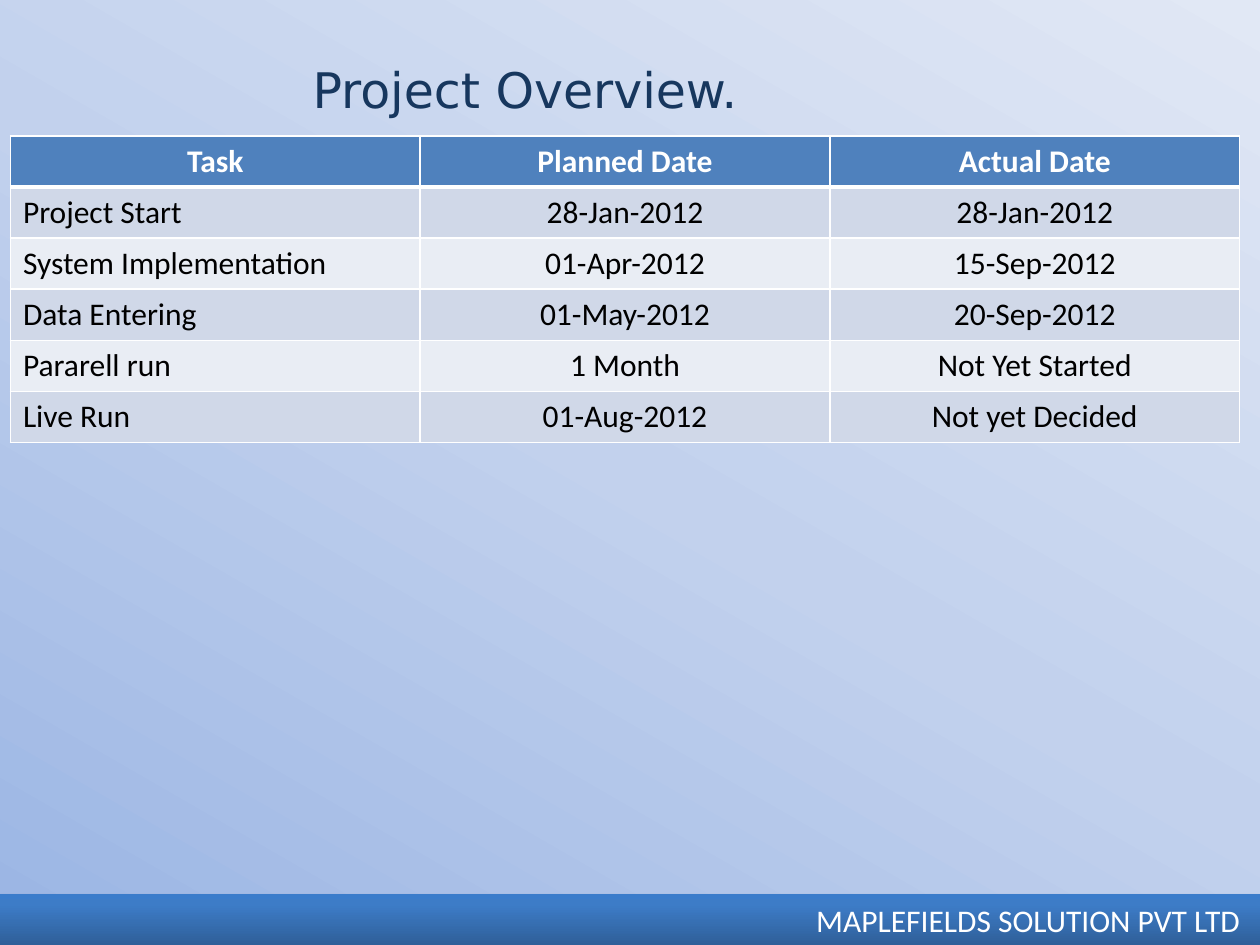
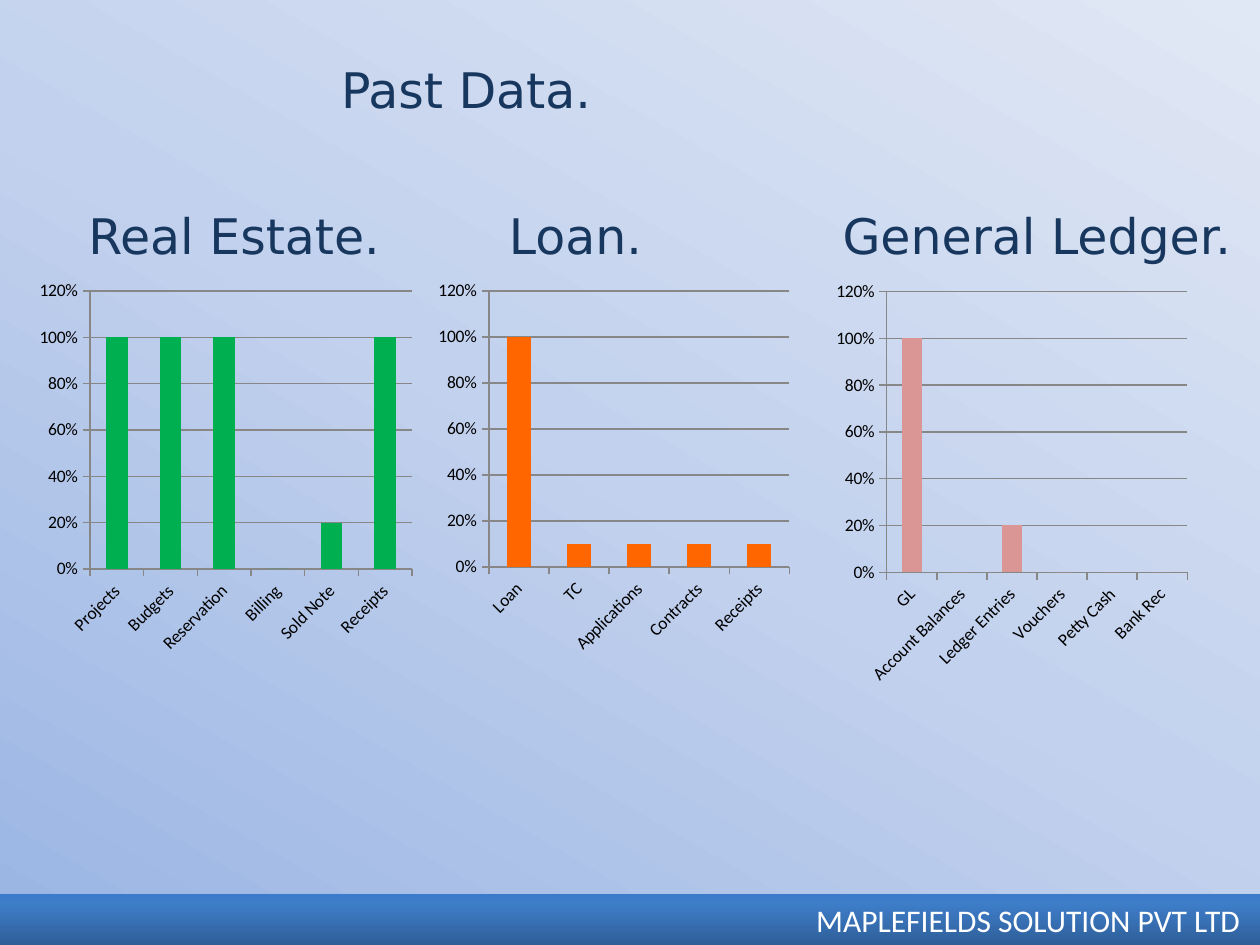
import pptx
import pptx.chart.data
import pptx.dml.color
import pptx.enum.chart
import pptx.enum.shapes
import pptx.enum.text
import pptx.oxml
import pptx.oxml.ns
import pptx.util
from dataclasses import dataclass
from lxml import etree

Cm = pptx.util.Cm
Pt = pptx.util.Pt
qn = pptx.oxml.ns.qn
ALIGN = pptx.enum.text.PP_ALIGN
MIDDLE = pptx.enum.text.MSO_ANCHOR.MIDDLE

# Content; lengths in centimetres
COMPANY = "MAPLEFIELDS SOLUTION PVT LTD"
OVERVIEW = {"title": "Project Overview.", "left": 5.92, "width": 9.32}
PAST_DATA = {"title": "Past Data.", "left": 6.55, "width": 5.69}

TASKS = [
    ("Task", "Planned Date", "Actual Date"),
    ("Project Start", "28-Jan-2012", "28-Jan-2012"),
    ("System Implementation", "01-Apr-2012", "15-Sep-2012"),
    ("Data Entering", "01-May-2012", "20-Sep-2012"),
    ("Pararell run", "1 Month", "Not Yet Started"),
    ("Live Run", "01-Aug-2012", "Not yet Decided"),
]

MODULES = [
    {"heading": "Real Estate.", "heading_at": (1.47, 6.5),
     "chart_at": (0.64, 7.82, 7.82), "color": "00B050",
     "values": {"Projects": 1, "Budgets": 1, "Reservation": 1,
                "Billing": 0, "Sold Note": 0.2, "Receipts": 1}},
    {"heading": "Loan.", "heading_at": (9.96, 3.28),
     "chart_at": (8.69, 7.37, 7.82), "color": "FF6600",
     "values": {"Loan": 1, "TC": 0.1, "Applications": 0.1,
                "Contracts": 0.1, "Receipts": 0.1}},
    {"heading": "General Ledger.", "heading_at": (16.71, 8.38),
     "chart_at": (16.71, 7.37, 8.46), "color": "D99694",
     "values": {"GL": 1, "Account Balances": 0, "Ledger Entries": 0.2,
                "Vouchers": 0, "Petty Cash": 0, "Bank Rec": 0}},
]


@dataclass(frozen=True)
class Theme:
    """Colours, fonts and type sizes of the deck."""
    heading_font: str = "DejaVu Sans"
    body_font: str = "Calibri"
    heading_size: int = 28
    body_size: int = 18
    chart_size: int = 10
    heading: str = "17375E"
    black: str = "000000"
    white: str = "FFFFFF"
    header_fill: str = "4F81BD"
    row_fills: tuple = ("D0D8E8", "E9EDF4")
    grid: str = "878787"
    page_stops: tuple = ((0, "9AB5E4"), (50, "C2D1ED"), (100, "E1E8F5"))
    band_stops: tuple = ((0, "2F5F99"), (80, "3D7CC7"), (100, "3A7CCB"))


THEME = Theme()
PAGE_WIDTH, PAGE_HEIGHT = 25.4, 19.05
BAND_HEIGHT = 1.02
HEADING_HEIGHT = 1.45
TITLE_TOP, MODULE_TOP, CHART_TOP = 1.07, 4.01, 5.51
TABLE_LEFT, TABLE_TOP, COLUMN_WIDTH, ROW_HEIGHT = 0.21, 2.74, 8.26, 1.03


def rgb(value):
    """Turn a hex string into a colour."""
    return pptx.dml.color.RGBColor.from_string(value)


def style_font(font, name, size, color, bold=False):
    """Set the face, size, colour and weight of a font."""
    font.name, font.size, font.bold = name, Pt(size), bold
    font.color.rgb = rgb(color)


def write(frame, text, align, name, size, color, bold=False):
    """Put one formatted paragraph in a text frame."""
    frame.text = text
    para = frame.paragraphs[0]
    para.alignment = align
    style_font(para.runs[0].font, name, size, color, bold)


def add_color(parent, value):
    """Append an sRGB colour element."""
    return etree.SubElement(parent, qn("a:srgbClr"), val=value)


def set_gradient(fill, element, stops, angle):
    """Give a fill a linear gradient with any number of stops."""
    fill.gradient()
    fill.gradient_angle = angle
    stop_list = element.find(".//" + qn("a:gsLst"))
    for stop in list(stop_list):
        stop_list.remove(stop)
    for percent, color in stops:
        stop = etree.SubElement(stop_list, qn("a:gs"), pos=str(percent * 1000))
        add_color(stop, color)


def write_heading(box, text, left, top, width):
    """Place and format a title or a chart heading."""
    box.left, box.top = Cm(left), Cm(top)
    box.width, box.height = Cm(width), Cm(HEADING_HEIGHT)
    frame = box.text_frame
    frame.word_wrap = False
    frame.auto_size = pptx.enum.text.MSO_AUTO_SIZE.NONE
    frame.vertical_anchor = MIDDLE
    write(frame, text, ALIGN.CENTER, THEME.heading_font,
          THEME.heading_size, THEME.heading)


def add_band(page):
    """Draw the company band along the foot of a page."""
    band = page.shapes.add_shape(
        pptx.enum.shapes.MSO_SHAPE.RECTANGLE, 0, Cm(PAGE_HEIGHT - BAND_HEIGHT),
        Cm(PAGE_WIDTH), Cm(BAND_HEIGHT))
    set_gradient(band.fill, band.element, THEME.band_stops, 90)
    band.line.fill.background()
    band.shadow.inherit = False
    effects = band.element.spPr.find(qn("a:effectLst"))
    shadow = etree.SubElement(
        effects, qn("a:outerShdw"), blurRad=str(Pt(3.1)), dist=str(Pt(1.8)),
        dir="5400000", rotWithShape="0")
    etree.SubElement(add_color(shadow, THEME.black), qn("a:alpha"), val="35000")
    frame = band.text_frame
    frame.vertical_anchor = MIDDLE
    frame.margin_right = Cm(0.4)
    write(frame, COMPANY, ALIGN.RIGHT, THEME.body_font,
          THEME.body_size, THEME.white)


def add_page(deck, content):
    """Add a page with its title and band."""
    page = deck.slides.add_slide(deck.slide_layouts.get_by_name("Title Only"))
    write_heading(page.shapes.title, content["title"], content["left"],
                  TITLE_TOP, content["width"])
    add_band(page)
    return page


def set_borders(cell, bottom):
    """Draw white cell borders, the lower one with its own width."""
    properties = cell._tc.get_or_add_tcPr()
    sides = (("a:lnL", 1), ("a:lnR", 1), ("a:lnT", 1), ("a:lnB", bottom))
    for index, (side, width) in enumerate(sides):
        line = etree.Element(qn(side), w=str(Pt(width)))
        add_color(etree.SubElement(line, qn("a:solidFill")), THEME.white)
        properties.insert(index, line)


def add_task_table(page):
    """Add the table of planned and actual dates."""
    rows, columns = len(TASKS), len(TASKS[0])
    table = page.shapes.add_table(
        rows, columns, Cm(TABLE_LEFT), Cm(TABLE_TOP),
        Cm(columns * COLUMN_WIDTH), Cm(rows * ROW_HEIGHT)).table
    for row, texts in enumerate(TASKS):
        header = row == 0
        fill = THEME.header_fill if header else THEME.row_fills[(row - 1) % 2]
        color = THEME.white if header else THEME.black
        for column, text in enumerate(texts):
            cell = table.cell(row, column)
            centred = header or column > 0
            write(cell.text_frame, text, ALIGN.CENTER if centred else ALIGN.LEFT,
                  THEME.body_font, THEME.body_size, color, header)
            cell.fill.solid()
            cell.fill.fore_color.rgb = rgb(fill)
            set_borders(cell, 3 if row == 0 else 1)


def add_module_chart(page, module):
    """Add the column chart of one module."""
    data = pptx.chart.data.CategoryChartData(number_format="0%")
    data.categories = list(module["values"])
    data.add_series("Series 1", list(module["values"].values()))
    left, width, height = module["chart_at"]
    chart = page.shapes.add_chart(
        pptx.enum.chart.XL_CHART_TYPE.COLUMN_CLUSTERED, Cm(left), Cm(CHART_TOP),
        Cm(width), Cm(height), data).chart
    chart.has_title = chart.has_legend = False
    style_font(chart.font, THEME.body_font, THEME.chart_size, THEME.black)

    plot = chart.plots[0]
    plot.vary_by_categories = False
    plot.gap_width = 150
    fill = plot.series[0].format.fill
    fill.solid()
    fill.fore_color.rgb = rgb(module["color"])

    values, categories = chart.value_axis, chart.category_axis
    values.minimum_scale, values.maximum_scale, values.major_unit = 0, 1.2, 0.2
    values.has_major_gridlines = True
    values.tick_labels.number_format = "0%"
    values.tick_labels.number_format_is_linked = False
    for axis in (values, categories):
        axis.major_tick_mark = pptx.enum.chart.XL_TICK_MARK.OUTSIDE
        style_font(axis.tick_labels.font, THEME.body_font,
                   THEME.chart_size, THEME.black)
    for part in (values, categories, values.major_gridlines):
        part.format.line.color.rgb = rgb(THEME.grid)
        part.format.line.width = Pt(0.75)
    slant = chart.element.find(".//" + qn("c:catAx")).find(".//" + qn("a:bodyPr"))
    slant.set("rot", str(-45 * 60000))


def build():
    """Build and save the deck."""
    deck = pptx.Presentation()
    deck.slide_width, deck.slide_height = Cm(PAGE_WIDTH), Cm(PAGE_HEIGHT)
    master = deck.slide_master
    set_gradient(master.background.fill, master.element, THEME.page_stops, 60)

    add_task_table(add_page(deck, OVERVIEW))

    page = add_page(deck, PAST_DATA)
    for module in MODULES:
        left, width = module["heading_at"]
        box = page.shapes.add_textbox(0, 0, 0, 0)
        write_heading(box, module["heading"], left, MODULE_TOP, width)
        add_module_chart(page, module)
    deck.save("out.pptx")


build()
